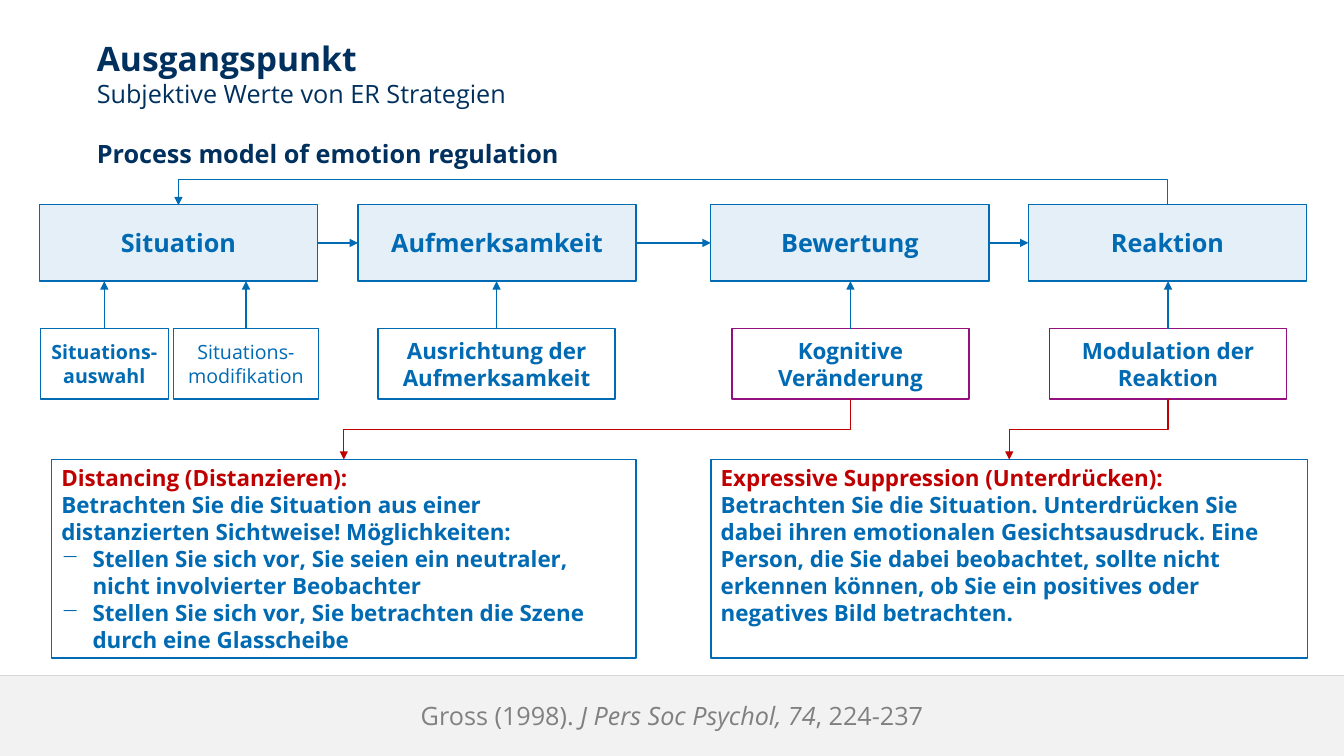
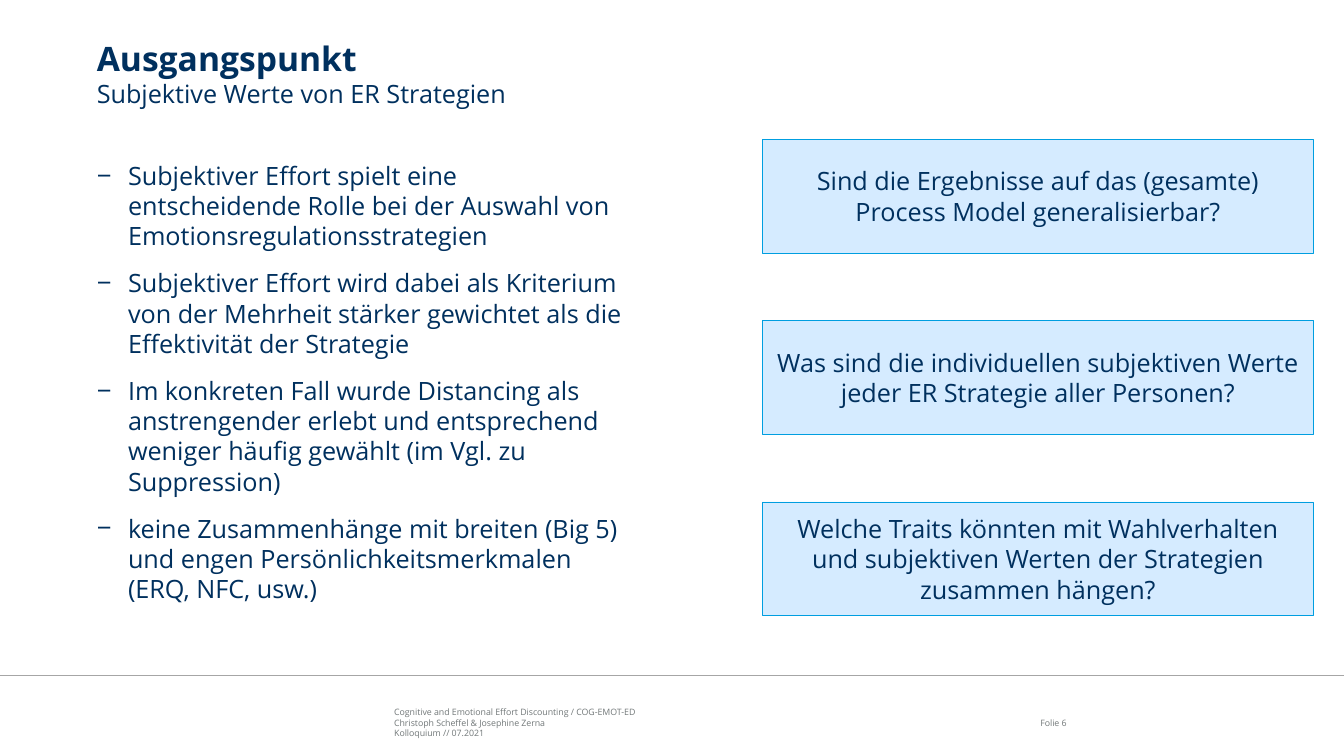
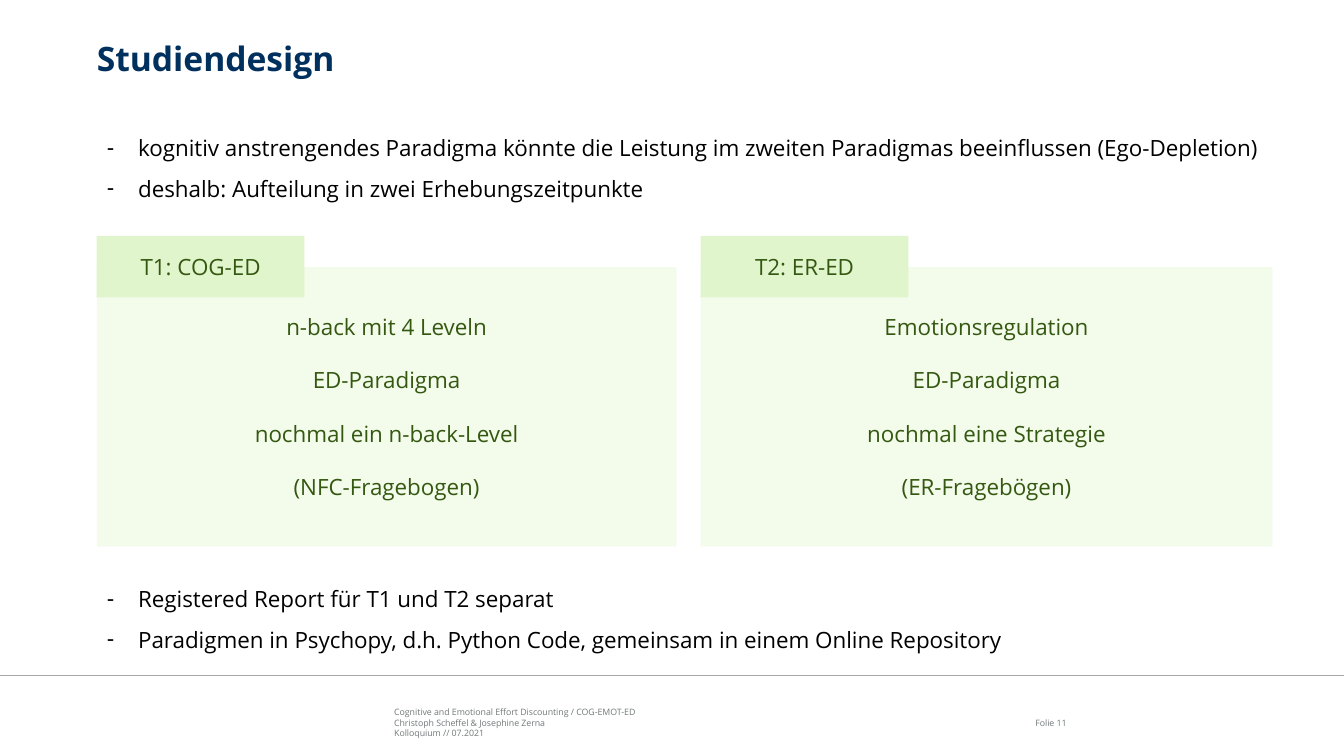
from dataclasses import dataclass

from lxml import etree
from pptx import Presentation
from pptx.dml.color import RGBColor
from pptx.enum.shapes import MSO_CONNECTOR, MSO_SHAPE
from pptx.enum.text import MSO_ANCHOR, MSO_AUTO_SIZE, PP_ALIGN
from pptx.oxml.ns import qn
from pptx.util import Inches, Pt

RECTANGLE = MSO_SHAPE.RECTANGLE
STRAIGHT, ELBOW = MSO_CONNECTOR.STRAIGHT, MSO_CONNECTOR.ELBOW
TOP, MIDDLE = MSO_ANCHOR.TOP, MSO_ANCHOR.MIDDLE
LEFT, CENTER, RIGHT = PP_ALIGN.LEFT, PP_ALIGN.CENTER, PP_ALIGN.RIGHT
TOP_SITE, BOTTOM_SITE = 0, 2  # connection sites of a rectangle

FONT = "Open Sans"
NAVY, BLUE, RED, PURPLE = "00305E", "006AB3", "C00000", "93107E"
WHITE, BLACK, GRAY, FOOTER_GRAY = "FFFFFF", "000000", "808080", "727879"
RULE_GRAY, BAND_GRAY = "A6A6A6", "F2F2F2"
QUESTION_FILL, QUESTION_LINE = "D5EBFF", "009EE0"
PANEL_GREEN, TAB_GREEN, DARK_GREEN = "F3FBEB", "E1F5CD", "355811"

SLIDE_WIDTH, SLIDE_HEIGHT = 13.33, 7.5
MARGIN, CONTENT_WIDTH = 0.96, 11.57
RULE_TOP = 6.7
HANGING = 0.31


@dataclass
class Box:
    left: float
    top: float
    width: float
    height: float

    @property
    def center(self) -> float:
        return self.left + self.width / 2

    @property
    def right(self) -> float:
        return self.left + self.width

    @property
    def bottom(self) -> float:
        return self.top + self.height

    def lengths(self) -> list:
        return [Inches(value) for value in (self.left, self.top, self.width, self.height)]


@dataclass
class Run:
    text: str
    size: float
    color: str
    bold: bool = False
    italic: bool = False


@dataclass
class Paragraph:
    runs: list[Run]
    align: PP_ALIGN = LEFT
    bullet: str = ""
    before: float = 0
    spacing: float = 1.0


@dataclass
class Strategy:
    box: Box
    text: str
    stage: int
    size: float = 16
    bold: bool = True
    line: str = BLUE


@dataclass
class Session:
    label: str
    left: float
    width: float
    steps: list[str]


def rgb(color: str) -> RGBColor:
    return RGBColor.from_string(color)


# Text
def write(shape, paragraphs: list[Paragraph], anchor=TOP, inset: bool = True) -> None:
    frame = shape.text_frame
    frame.word_wrap = True
    frame.auto_size = MSO_AUTO_SIZE.NONE
    frame.vertical_anchor = anchor
    side, edge = (0.1, 0.05) if inset else (0, 0)
    frame.margin_left = frame.margin_right = Inches(side)
    frame.margin_top = frame.margin_bottom = Inches(edge)
    for index, item in enumerate(paragraphs):
        paragraph = frame.add_paragraph() if index else frame.paragraphs[0]
        paragraph.alignment = item.align
        paragraph.space_before = Pt(item.before)
        paragraph.line_spacing = item.spacing
        set_bullet(paragraph, item.bullet)
        for position, part in enumerate(item.runs):
            add_run(paragraph, part)
            if part.text.endswith("\n") and position < len(item.runs) - 1:
                paragraph.add_line_break()


def add_run(paragraph, part: Run) -> None:
    run = paragraph.add_run()
    run.text = part.text.rstrip("\n")
    font = run.font
    font.name, font.size = FONT, Pt(part.size)
    font.bold, font.italic = part.bold, part.italic
    font.color.rgb = rgb(part.color)


def set_bullet(paragraph, bullet: str) -> None:
    properties = paragraph._p.get_or_add_pPr()
    indent = Inches(HANGING) if bullet else 0
    properties.set("marL", str(indent))
    properties.set("indent", str(-indent))
    if bullet:
        etree.SubElement(properties, qn("a:buChar")).set("char", bullet)
    else:
        etree.SubElement(properties, qn("a:buNone"))


def bullets(texts: list[str], size: float, color: str, sign: str,
            bold: bool = False, before: float = 0, spacing: float = 1.0) -> list[Paragraph]:
    return [Paragraph([Run(text, size, color, bold)], LEFT, sign, before, spacing)
            for text in texts]


def centered(text: str, size: float, color: str, bold: bool = False) -> list[Paragraph]:
    return [Paragraph([Run(text, size, color, bold)], CENTER)]


# Shapes and lines
def add_box(slide, box: Box, fill: str, paragraphs: list[Paragraph], line: str = "",
            line_width: float = 1, opacity: int = 100, anchor=MIDDLE):
    shape = slide.shapes.add_shape(RECTANGLE, *box.lengths())
    shape.shadow.inherit = False
    shape.fill.solid()
    shape.fill.fore_color.rgb = rgb(fill)
    if opacity < 100:
        color = shape.element.spPr.find(qn("a:solidFill"))[0]
        etree.SubElement(color, qn("a:alpha")).set("val", str(opacity * 1000))
    if line:
        shape.line.color.rgb = rgb(line)
        shape.line.width = Pt(line_width)
    else:
        shape.line.fill.background()
    write(shape, paragraphs, anchor)
    return shape


def add_line(slide, start: tuple[float, float], end: tuple[float, float],
             color: str, arrow: bool = True, kind=STRAIGHT):
    connector = slide.shapes.add_connector(
        kind, *[Inches(value) for value in (*start, *end)])
    connector.line.color.rgb = rgb(color)
    connector.line.width = Pt(1)
    properties = connector.element.spPr
    if arrow:
        outline = properties.find(qn("a:ln"))
        etree.SubElement(outline, qn("a:tailEnd")).set("type", "triangle")
    etree.SubElement(properties, qn("a:effectLst"))
    return connector


def add_elbow(slide, source, source_site: int, target, target_site: int,
              start: tuple[float, float], end: tuple[float, float], color: str,
              rotation: int = 90, flip: bool = False, bend: float = 0.5) -> None:
    """Elbow that leaves and arrives vertically, running from right to left."""
    connector = add_line(slide, start, end, color, kind=ELBOW)
    connector.begin_connect(source, source_site)
    connector.end_connect(target, target_site)
    # The frame is stated unrotated, around the midpoint of the two ends
    width, height = max(end[1] - start[1], 0.01), start[0] - end[0]
    connector.left = Inches((start[0] + end[0] - width) / 2)
    connector.top = Inches((start[1] + end[1] - height) / 2)
    connector.width, connector.height = Inches(width), Inches(height)
    properties = connector.element.spPr
    transform = properties.find(qn("a:xfrm"))
    transform.set("rot", str(rotation * 60000))
    for name in ("flipH", "flipV"):
        transform.set(name, str(int(flip)))
    adjustments = properties.find(qn("a:prstGeom")).find(qn("a:avLst"))
    guide = etree.SubElement(adjustments, qn("a:gd"))
    guide.set("name", "adj1")
    guide.set("fmla", f"val {int(bend * 100000)}")


# Parts shared by the slides
def fill_placeholder(slide, index: int, box: Box, paragraphs: list[Paragraph],
                     anchor=TOP, inset: bool = False) -> None:
    shape = slide.placeholders[index]
    shape.left, shape.top, shape.width, shape.height = box.lengths()
    write(shape, paragraphs, anchor, inset)


def add_text(slide, box: Box, paragraphs: list[Paragraph]) -> None:
    write(slide.shapes.add_textbox(*box.lengths()), paragraphs, MIDDLE, inset=False)


def new_slide(presentation, layout: int, title: str, subtitle: str = ""):
    slide = presentation.slides.add_slide(presentation.slide_layouts[layout])
    runs = [Run(title + "\n", 24, NAVY, True)]
    if subtitle:
        runs.append(Run(subtitle, 18, NAVY))
    fill_placeholder(slide, 0, Box(MARGIN, 0.38, CONTENT_WIDTH, 0.75), [Paragraph(runs)])
    add_line(slide, (0, RULE_TOP), (SLIDE_WIDTH, RULE_TOP), RULE_GRAY, arrow=False)
    return slide


def add_footer(slide, number: int) -> None:
    lines = ["Cognitive and Emotional Effort Discounting / COG-EMOT-ED",
             "Christoph Scheffel & Josephine Zerna",
             "Kolloquium // 07.2021"]
    add_text(slide, Box(3.91, 7.01, 5.67, 0.32),
             [Paragraph([Run(line, 6.3, FOOTER_GRAY)]) for line in lines])
    add_text(slide, Box(9.81, 7.01, 0.77, 0.32),
             [Paragraph([Run(f"Folie {number}", 6.3, FOOTER_GRAY)], RIGHT)])


# Slides
def build_process_model(presentation) -> None:
    slide = new_slide(presentation, 1, "Ausgangspunkt", "Subjektive Werte von ER Strategien")
    fill_placeholder(slide, 1, Box(MARGIN, 1.37, CONTENT_WIDTH, 0.4),
                     [Paragraph([Run("Process model of emotion regulation", 18, NAVY, True)])])
    citation = [Run("Gross (1998). ", 18, GRAY),
                Run("J Pers Soc Psychol, 74", 18, GRAY, italic=True),
                Run(", 224-237", 18, GRAY)]
    add_box(slide, Box(0, RULE_TOP, SLIDE_WIDTH, SLIDE_HEIGHT - RULE_TOP), BAND_GRAY,
            [Paragraph(citation, CENTER)])

    # Stages of the process, joined from left to right
    names = ["Situation", "Aufmerksamkeit", "Bewertung", "Reaktion"]
    stages = [Box(left, 2.03, 2.76, 0.76) for left in (0.39, 3.55, 7.05, 10.2)]
    stage_shapes = [add_box(slide, box, BLUE, centered(name, 18, BLUE, True), BLUE, opacity=10)
                    for name, box in zip(names, stages)]
    middle = stages[0].top + stages[0].height / 2
    for before, after in zip(stages, stages[1:]):
        add_line(slide, (before.right, middle), (after.left, middle), BLUE)

    # Strategies, each pointing up to its stage
    strategies = [
        Strategy(Box(0.4, 3.26, 1.27, 0.7), "Situations-auswahl", 0, size=14),
        Strategy(Box(1.72, 3.26, 1.44, 0.7), "Situations-modifikation", 0, size=14, bold=False),
        Strategy(Box(3.75, 3.26, 2.35, 0.7), "Ausrichtung der Aufmerksamkeit", 1),
        Strategy(Box(7.26, 3.26, 2.35, 0.7), "Kognitive Veränderung", 2, line=PURPLE),
        Strategy(Box(10.41, 3.26, 2.35, 0.7), "Modulation der Reaktion", 3, line=PURPLE),
    ]
    strategy_shapes = []
    for strategy in strategies:
        box = strategy.box
        text = centered(strategy.text, strategy.size, BLUE, strategy.bold)
        strategy_shapes.append(add_box(slide, box, WHITE, text, strategy.line))
        add_line(slide, (box.center, box.top),
                 (box.center, stages[strategy.stage].bottom), BLUE)

    # Feedback from the last stage to the first
    add_elbow(slide, stage_shapes[-1], TOP_SITE, stage_shapes[0], TOP_SITE,
              (stages[-1].center, stages[-1].top), (stages[0].center, stages[0].top),
              BLUE, rotation=270, flip=True, bend=-25)

    # Instructions for the two strategies under study
    distancing = [
        Paragraph([Run("Distancing (Distanzieren):", 16, RED, True)]),
        Paragraph([Run("Betrachten Sie die Situation aus einer distanzierten Sichtweise! "
                       "Möglichkeiten:", 16, BLUE, True)]),
        *bullets(["Stellen Sie sich vor, Sie seien ein neutraler, nicht involvierter Beobachter",
                  "Stellen Sie sich vor, Sie betrachten die Szene durch eine Glasscheibe"],
                 16, BLUE, "−", bold=True),
    ]
    suppression = [
        Paragraph([Run("Expressive Suppression (Unterdrücken):", 16, RED, True)]),
        Paragraph([Run("Betrachten Sie die Situation. Unterdrücken Sie dabei ihren emotionalen "
                       "Gesichtsausdruck. Eine Person, die Sie dabei beobachtet, sollte nicht "
                       "erkennen können, ob Sie ein positives oder negatives Bild betrachten.",
                       16, BLUE, True)]),
    ]
    instructions = [(Box(0.51, 4.56, 5.8, 1.97), distancing, 3),
                    (Box(7.05, 4.56, 5.92, 1.97), suppression, 4)]
    for box, paragraphs, index in instructions:
        shape = add_box(slide, box, WHITE, paragraphs, BLUE, anchor=TOP)
        source = strategies[index].box
        add_elbow(slide, strategy_shapes[index], BOTTOM_SITE, shape, TOP_SITE,
                  (source.center, source.bottom), (box.center, box.top), RED)


def build_open_questions(presentation) -> None:
    slide = new_slide(presentation, 1, "Ausgangspunkt", "Subjektive Werte von ER Strategien")
    add_footer(slide, 6)
    findings = [
        "Subjektiver Effort spielt eine entscheidende Rolle bei der Auswahl von "
        "Emotionsregulationsstrategien",
        "Subjektiver Effort wird dabei als Kriterium von der Mehrheit stärker gewichtet als "
        "die Effektivität der Strategie",
        "Im konkreten Fall wurde Distancing als anstrengender erlebt und entsprechend weniger "
        "häufig gewählt (im Vgl. zu Suppression)",
        "keine Zusammenhänge mit breiten (Big 5) und engen Persönlichkeitsmerkmalen "
        "(ERQ, NFC, usw.)",
    ]
    fill_placeholder(slide, 1, Box(MARGIN, 1.59, 5.34, 4.75),
                     bullets(findings, 18, NAVY, "−", before=12))
    questions = [
        "Sind die Ergebnisse auf das (gesamte) Process Model generalisierbar?",
        "Was sind die individuellen subjektiven Werte jeder ER Strategie aller Personen?",
        "Welche Traits könnten mit Wahlverhalten und subjektiven Werten der Strategien "
        "zusammen hängen?",
    ]
    for row, question in enumerate(questions):
        add_box(slide, Box(7.56, 1.38 + row * 1.8, 5.47, 1.13), QUESTION_FILL,
                centered(question, 18, NAVY), QUESTION_LINE, line_width=0.5)


def build_study_design(presentation) -> None:
    slide = new_slide(presentation, 3, "Studiendesign")
    add_footer(slide, 11)
    reasons = ["kognitiv anstrengendes Paradigma könnte die Leistung im zweiten Paradigmas "
               "beeinflussen (Ego-Depletion)",
               "deshalb: Aufteilung in zwei Erhebungszeitpunkte"]
    plans = ["Registered Report für T1 und T2 separat",
             "Paradigmen in Psychopy, d.h. Python Code, gemeinsam in einem Online Repository"]
    lists = [(1, Box(MARGIN, 1.08, 11.67, 1.04), reasons),
             (2, Box(MARGIN, 5.66, 11.67, 0.83), plans)]
    for index, box, texts in lists:
        fill_placeholder(slide, index, box, bullets(texts, 16, BLACK, "-", spacing=1.5),
                         MIDDLE, inset=True)

    # Panel and tab for each session
    sessions = [
        Session("T1: COG-ED", MARGIN, 5.75,
                ["n-back mit 4 Leveln", "ED-Paradigma", "nochmal ein n-back-Level",
                 "(NFC-Fragebogen)"]),
        Session("T2: ER-ED", 6.95, 5.67,
                ["Emotionsregulation", "ED-Paradigma", "nochmal eine Strategie",
                 "(ER-Fragebögen)"]),
    ]
    for session in sessions:
        steps = [Paragraph([Run(step, 16, DARK_GREEN)], CENTER, before=19 if row else 0)
                 for row, step in enumerate(session.steps)]
        add_box(slide, Box(session.left, 2.65, session.width, 2.77), PANEL_GREEN, steps)
        add_box(slide, Box(session.left, 2.34, 2.06, 0.61), TAB_GREEN,
                centered(session.label, 16, DARK_GREEN))


def main() -> None:
    presentation = Presentation()
    presentation.slide_width = Inches(SLIDE_WIDTH)
    presentation.slide_height = Inches(SLIDE_HEIGHT)
    build_process_model(presentation)
    build_open_questions(presentation)
    build_study_design(presentation)
    presentation.save("out.pptx")


if __name__ == "__main__":
    main()
